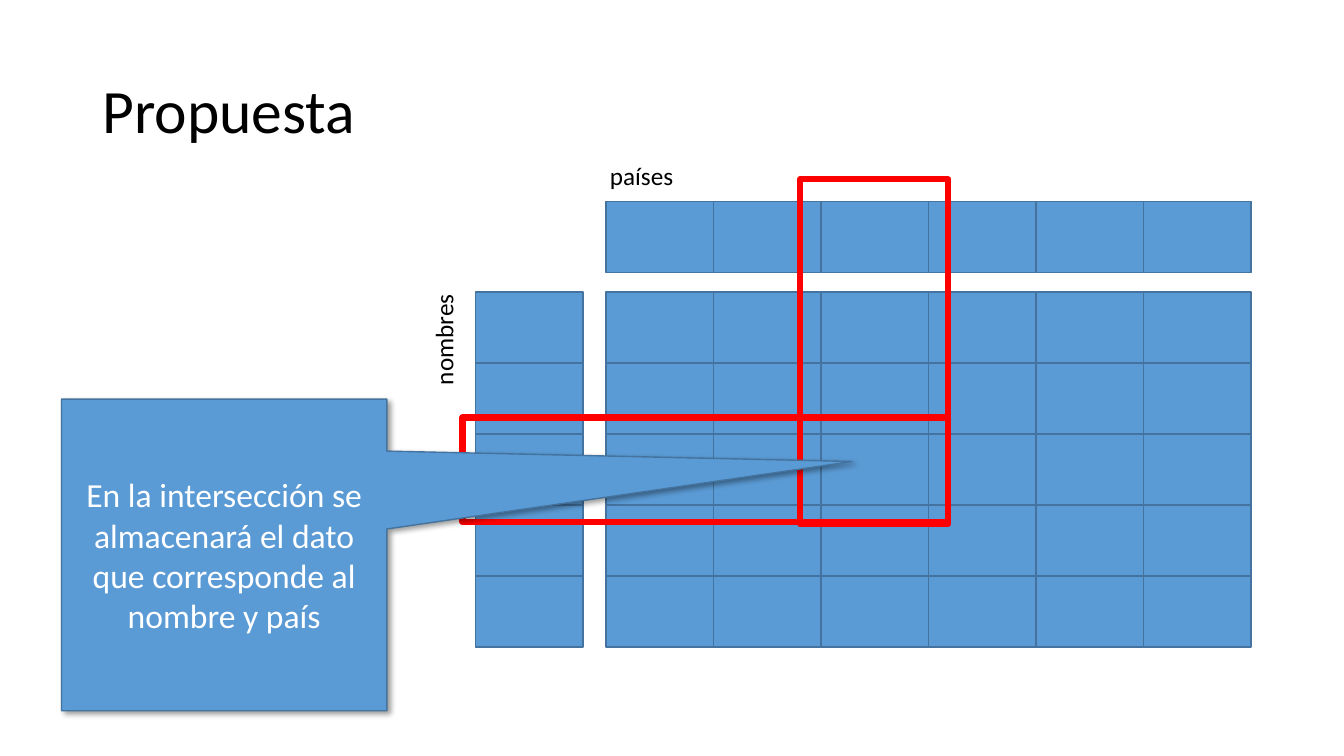
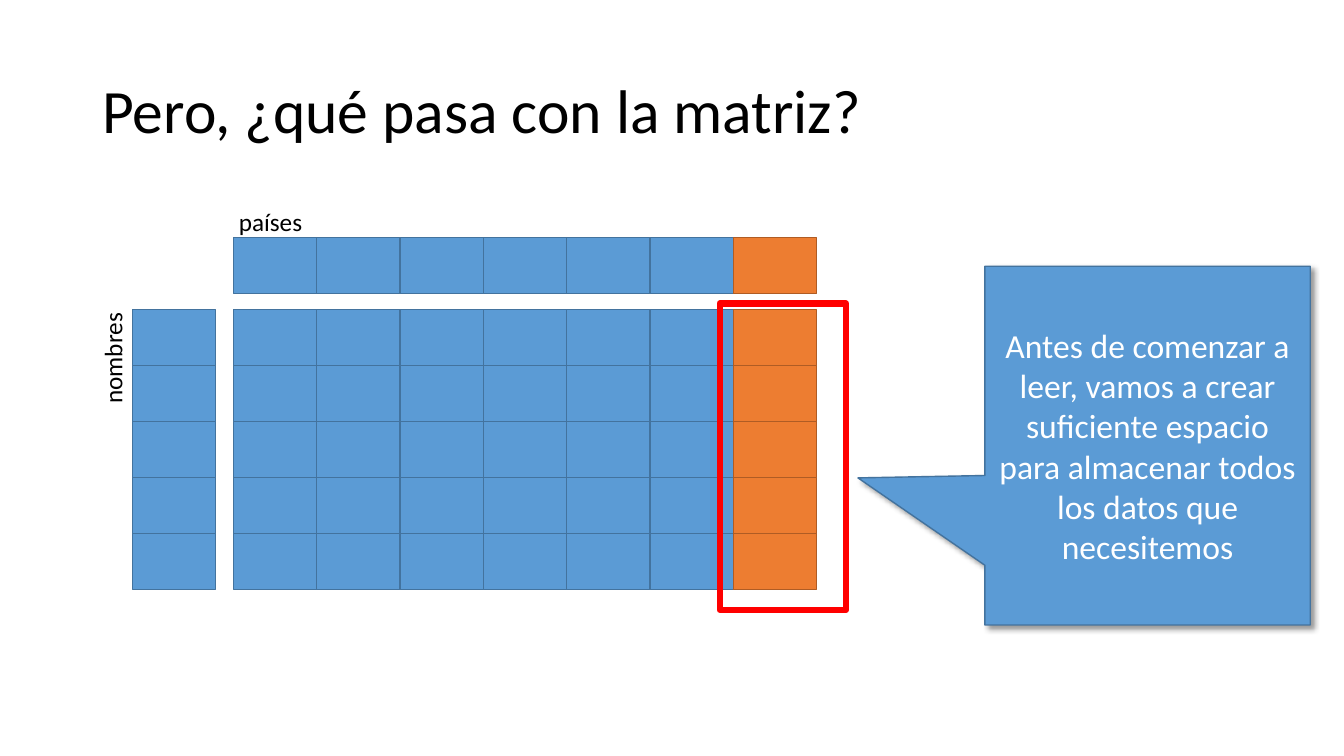
"""Build two slides that explain a matrix of names by countries."""
from lxml import etree
from pptx import Presentation
from pptx.dml.color import RGBColor
from pptx.enum.shapes import MSO_SHAPE as Preset
from pptx.enum.text import MSO_ANCHOR as Anchor, MSO_AUTO_SIZE as AutoSize, PP_ALIGN as Align
from pptx.oxml.ns import qn
from pptx.util import Cm, Pt

FONT = "Calibri"
COLORS = {
    "black": "000000", "white": "FFFFFF", "red": "FF0000",
    "blue": "5B9BD5", "blue_line": "43739E",
    "orange": "ED7D31", "orange_line": "AF5C24",
}
TITLE_BOX = (2.33, 1.01, 29.21, 3.68)
ROWS, COLUMNS = 5, 6

SLIDES = [
    {
        "title": "Propuesta",
        "cell": (2.71, 1.79),
        "names_left": 11.98, "body_left": 15.27, "header_top": 5.08, "body_top": 7.36,
        "extra_columns": 0,
        "countries_box": (15.12, 3.92, 6.93, 1.04),
        "names_box": (7.72, 10.11, 6.93, 1.04),
        "frames": [(20.17, 4.52, 3.73, 8.69), (11.66, 10.52, 12.24, 2.64)],
        "callout": "En la intersección se almacenará el dato que corresponde al nombre y país",
        "callout_box": (1.55, 10.06, 8.2, 7.85),
        "callout_tip": (1.93, -0.3),
    },
    {
        "title": "Pero, ¿qué pasa con la matriz?",
        "cell": (2.1, 1.41),
        "names_left": 3.34, "body_left": 5.88, "header_top": 5.99, "body_top": 7.8,
        "extra_columns": 1,
        "countries_box": (5.77, 5.08, 5.38, 0.81),
        "names_box": (0, 9.96, 5.46, 0.81),
        "frames": [(18.14, 7.65, 3.18, 7.72)],
        "callout": "Antes de comenzar a leer, vamos a crear suficiente espacio "
                   "para almacenar todos los datos que necesitemos",
        "callout_box": (24.82, 6.71, 8.2, 9.04),
        "callout_tip": (-0.89, 0.09),
    },
]


def color(name):
    """Return the named colour."""
    return RGBColor.from_string(COLORS[name])


def write_text(shape, text, size, fill="black", align=Align.LEFT, anchor=Anchor.TOP,
               line_spacing=None, auto_size=AutoSize.NONE):
    """Write one formatted paragraph into a shape."""
    frame = shape.text_frame
    frame.word_wrap = True
    frame.auto_size = auto_size
    frame.vertical_anchor = anchor
    paragraph = frame.paragraphs[0]
    paragraph.alignment = align
    paragraph.line_spacing = line_spacing
    run = paragraph.add_run()
    run.text = text
    run.font.name = FONT
    run.font.size = Pt(size)
    run.font.color.rgb = color(fill)


def add_text(shapes, text, box, rotation=0, **text_format):
    """Add a text box."""
    shape = shapes.add_textbox(*map(Cm, box))
    shape.rotation = rotation
    write_text(shape, text, **text_format)


def add_box(shapes, box, fill="blue", line="blue_line", width=1, preset=Preset.RECTANGLE):
    """Add an outlined preset shape, hollow when fill is None."""
    shape = shapes.add_shape(preset, *map(Cm, box))
    shape.shadow.inherit = False
    if fill:
        shape.fill.solid()
        shape.fill.fore_color.rgb = color(fill)
    else:
        shape.fill.background()
    shape.line.color.rgb = color(line)
    shape.line.width = Pt(width)
    return shape


def add_grid(shapes, left, top, cell, rows, columns, extra_columns=0):
    """Add a grid of cells, with the extra columns in orange."""
    width, height = cell
    for row in range(rows):
        for column in range(columns + extra_columns):
            fill = "blue" if column < columns else "orange"
            box = (left + column * width, top + row * height, width, height)
            add_box(shapes, box, fill, f"{fill}_line")


def add_matrix(slide, content):
    """Add the labelled countries, names and body of the matrix."""
    cell, extra = content["cell"], content["extra_columns"]
    left, top = content["body_left"], content["body_top"]
    label = {"size": 18, "auto_size": AutoSize.SHAPE_TO_FIT_TEXT}

    countries = slide.shapes.add_group_shape().shapes
    add_grid(countries, left, content["header_top"], cell, 1, COLUMNS, extra)
    add_text(countries, "países", content["countries_box"], **label)

    body = slide.shapes.add_group_shape().shapes
    add_grid(body, left, top, cell, ROWS, COLUMNS, extra)

    names = slide.shapes.add_group_shape().shapes
    add_text(names, "nombres", content["names_box"], rotation=270, align=Align.RIGHT, **label)
    add_grid(names, content["names_left"], top, cell, ROWS, 1)


def add_shadow(shape):
    """Give a shape a soft shadow towards the lower right."""
    effects = shape.element.spPr.find(qn("a:effectLst"))
    shadow = etree.SubElement(effects, qn("a:outerShdw"), blurRad=str(Pt(4)), dist=str(Pt(3)),
                              dir="2700000", algn="tl", rotWithShape="0")
    shade = etree.SubElement(shadow, qn("a:srgbClr"), val=COLORS["black"])
    etree.SubElement(shade, qn("a:alpha"), val="40000")


def add_callout(slide, text, box, tip):
    """Add a callout whose tip is given relative to its size."""
    shape = add_box(slide.shapes, box, preset=Preset.RECTANGULAR_CALLOUT)
    for index, offset in enumerate(tip):
        shape.adjustments[index] = offset
    add_shadow(shape)
    write_text(shape, text, 24, fill="white", align=Align.CENTER, anchor=Anchor.MIDDLE)


def main():
    """Build and save the presentation."""
    presentation = Presentation()
    presentation.slide_width, presentation.slide_height = Cm(33.87), Cm(19.05)
    for content in SLIDES:
        slide = presentation.slides.add_slide(presentation.slide_layouts[6])
        add_text(slide.shapes, content["title"], TITLE_BOX, size=44,
                 anchor=Anchor.MIDDLE, line_spacing=0.9)
        add_matrix(slide, content)
        for frame in content["frames"]:
            add_box(slide.shapes, frame, fill=None, line="red", width=4.5)
        add_callout(slide, content["callout"], content["callout_box"], content["callout_tip"])
    presentation.save("out.pptx")


if __name__ == "__main__":
    main()
